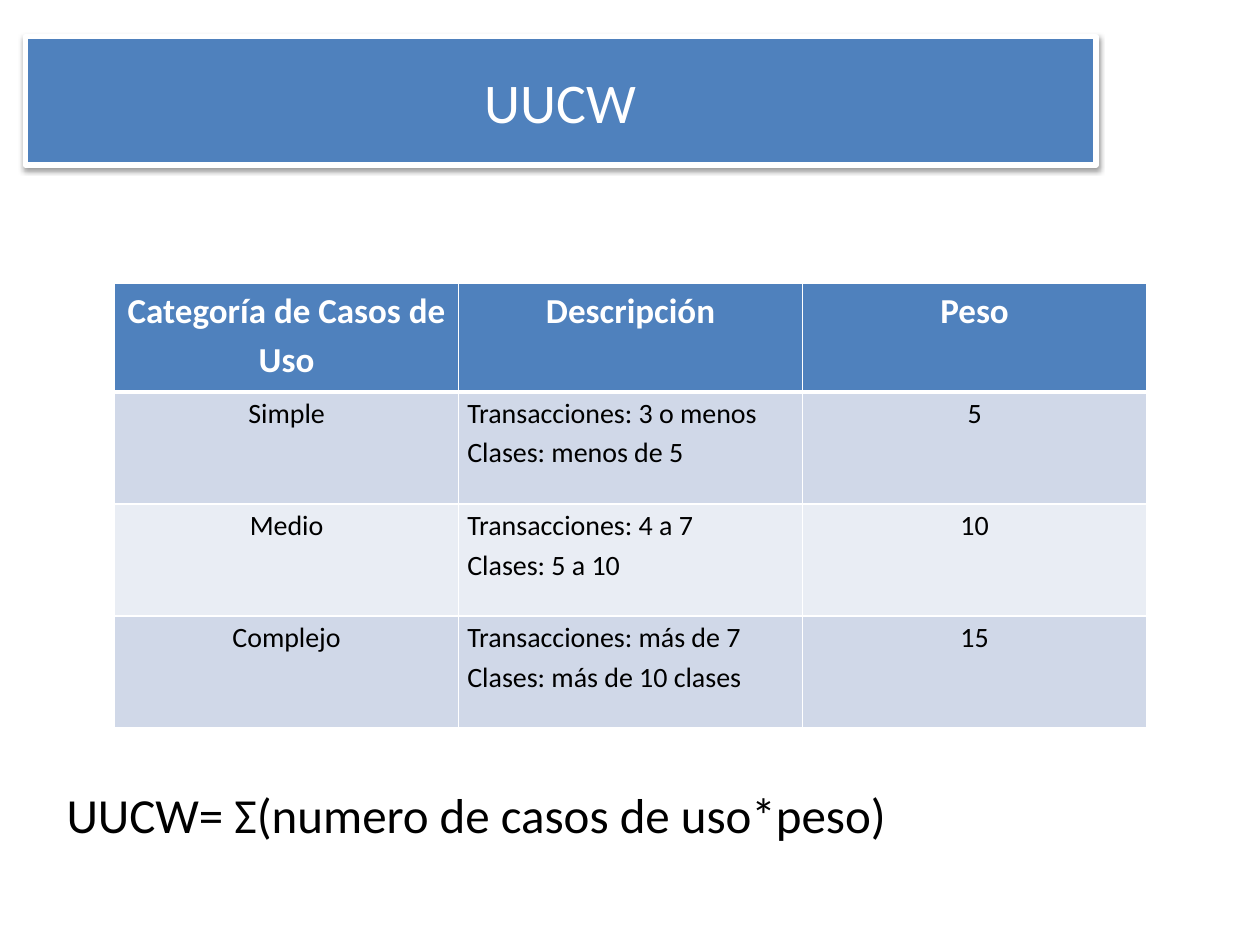
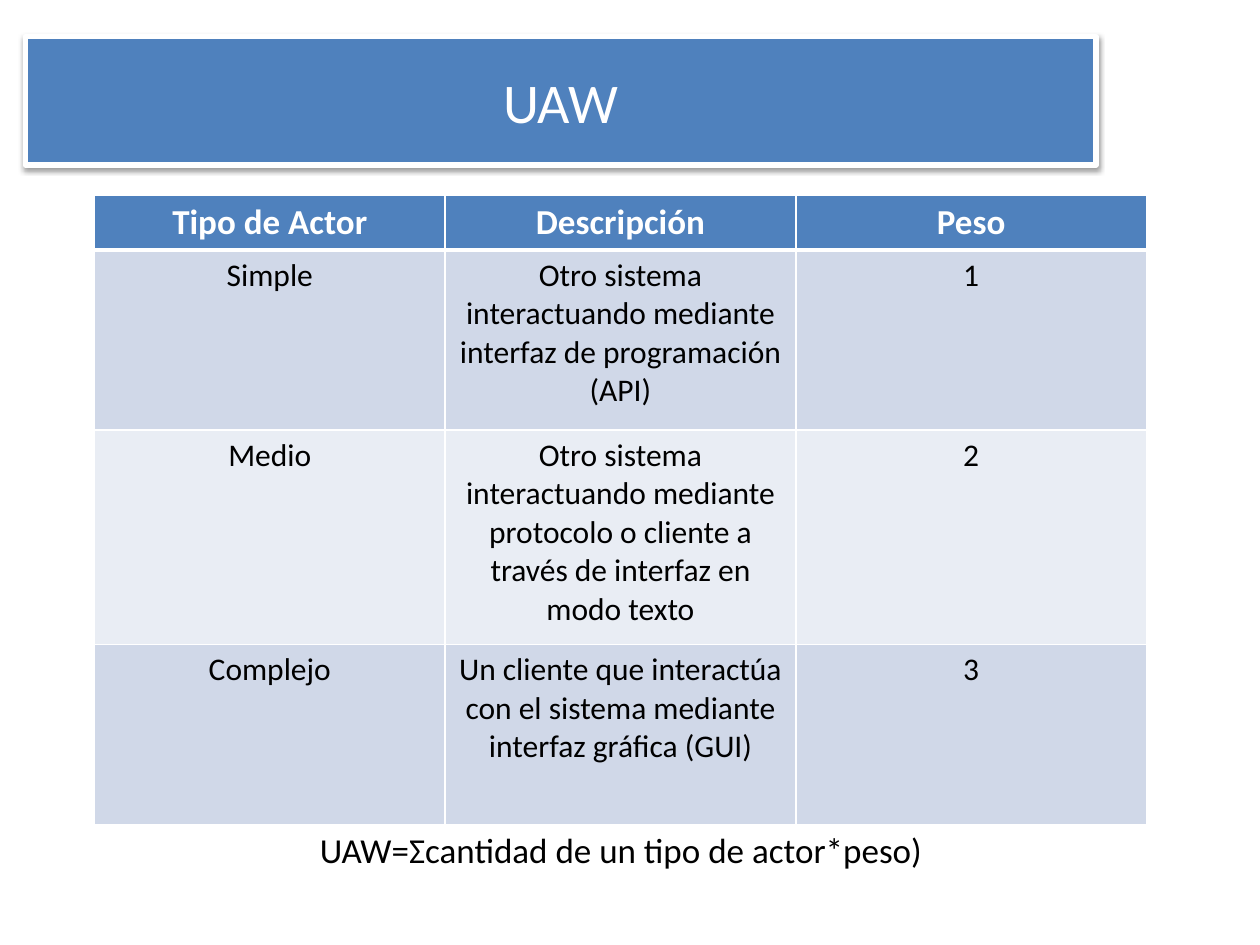
"""Build two slides on use case and actor weights, each with a table and a formula."""
from lxml import etree
from pptx import Presentation
from pptx import util as u
from pptx.dml.color import RGBColor
from pptx.enum import shapes, text
from pptx.oxml import ns, parse_xml

COLORS = {"blue": "4F81BD", "white": "FFFFFF", "black": "000000",
          "odd_row": "D0D8E8", "even_row": "E9EDF4"}
FONT = "Calibri"
CENTER, LEFT = text.PP_ALIGN.CENTER, text.PP_ALIGN.LEFT

SLIDES = [
    {
        "title": "UUCW",
        "rows": [
            ("Categoría de Casos de Uso", "Descripción", "Peso"),
            ("Simple", "Transacciones: 3 o menos\nClases: menos de 5", "5"),
            ("Medio", "Transacciones: 4 a 7\nClases: 5 a 10", "10"),
            ("Complejo", "Transacciones: más de 7\nClases: más de 10 clases", "15"),
        ],
        "table_left": 9.1, "table_top": 22.5, "table_width": 81.9,
        "row_heights": (8.6, 8.9, 8.9, 8.9),
        "margins": (0.7, 0), "spacing": 1.15, "body_size": 16, "description_align": LEFT,
        "formula": "UUCW= Σ(numero de casos de uso*peso)",
        "formula_top": 61, "formula_size": 28, "formula_align": LEFT,
    },
    {
        "title": "UAW",
        "rows": [
            ("Tipo de Actor", "Descripción", "Peso"),
            ("Simple", "Otro sistema interactuando mediante interfaz de programación (API)", "1"),
            ("Medio", "Otro sistema interactuando mediante protocolo o cliente a través "
                      "de interfaz en modo texto", "2"),
            ("Complejo", "Un cliente que interactúa con el sistema mediante interfaz "
                         "gráfica (GUI)", "3"),
        ],
        "table_left": 7.5, "table_top": 15.5, "table_width": 83.5,
        "row_heights": (4.3, 14.3, 17, 14.3),
        "margins": (1, 0.5), "spacing": 1, "body_size": 18, "description_align": CENTER,
        "formula": "UAW=Σcantidad de un tipo de actor*peso)",
        "formula_top": 63.8, "formula_size": 20, "formula_align": CENTER,
    },
]

presentation = Presentation()
presentation.slide_width, presentation.slide_height = u.Inches(10), u.Inches(7.5)
UNIT = presentation.slide_width // 100


def write_text(frame, content, size, color="black", align=CENTER, bold=False, spacing=1):
    """Fill a text frame, one paragraph for each line of the content."""
    frame.word_wrap = True
    frame.text = content
    for paragraph in frame.paragraphs:
        paragraph.alignment = align
        paragraph.line_spacing = spacing
        font = paragraph.font
        font.name, font.size, font.bold = FONT, u.Pt(size), bold
        font.color.rgb = RGBColor.from_string(COLORS[color])


def set_border(cell, side, width):
    """Draw one white border of a table cell."""
    line = etree.SubElement(cell._tc.get_or_add_tcPr(), ns.qn(f"a:ln{side}"), w=str(u.Pt(width)))
    fill = etree.SubElement(line, ns.qn("a:solidFill"))
    etree.SubElement(fill, ns.qn("a:srgbClr"), val=COLORS["white"])


for content in SLIDES:
    slide = presentation.slides.add_slide(presentation.slide_layouts[6])

    banner = slide.shapes.add_shape(
        shapes.MSO_SHAPE.RECTANGLE, *(int(n * UNIT) for n in (2, 2.9, 85, 10.2)))
    banner.fill.solid()
    banner.fill.fore_color.rgb = RGBColor.from_string(COLORS["blue"])
    banner.line.color.rgb = RGBColor.from_string(COLORS["white"])
    banner.line.width = u.Pt(3)
    banner._element.spPr.append(parse_xml(
        f'<a:effectLst {ns.nsdecls("a")}>'
        f'<a:outerShdw blurRad="{u.Pt(3.1)}" dist="{u.Pt(1.6)}" dir="5400000" rotWithShape="0">'
        f'<a:srgbClr val="{COLORS["black"]}"><a:alpha val="38000"/></a:srgbClr>'
        '</a:outerShdw></a:effectLst>'))
    banner.text_frame.vertical_anchor = text.MSO_ANCHOR.MIDDLE
    write_text(banner.text_frame, content["title"], 32, color="white")

    rows, heights = content["rows"], content["row_heights"]
    frame = (content["table_left"], content["table_top"], content["table_width"], sum(heights))
    table = slide.shapes.add_table(
        len(rows), len(rows[0]), *(int(n * UNIT) for n in frame)).table
    side_margin, end_margin = (int(n * UNIT) for n in content["margins"])

    for row_index, (row, height) in enumerate(zip(rows, heights)):
        table.rows[row_index].height = int(height * UNIT)
        header = row_index == 0
        fill_name = "blue" if header else ("even_row", "odd_row")[row_index % 2]
        for column_index, value in enumerate(row):
            cell = table.cell(row_index, column_index)
            cell.margin_left = cell.margin_right = side_margin
            cell.margin_top = cell.margin_bottom = end_margin
            for side in "LRTB":
                under_header = (row_index, side) in ((0, "B"), (1, "T"))
                set_border(cell, side, 3 if under_header else 1)
            cell.fill.solid()
            cell.fill.fore_color.rgb = RGBColor.from_string(COLORS[fill_name])
            is_description = column_index == 1 and not header
            write_text(cell.text_frame, value, 20 if header else content["body_size"],
                       color="white" if header else "black", bold=header,
                       align=content["description_align"] if is_description else CENTER,
                       spacing=content["spacing"])

    formula = slide.shapes.add_textbox(
        *(int(n * UNIT) for n in (4.3, content["formula_top"], 90, 7.2)))
    formula.text_frame.vertical_anchor = text.MSO_ANCHOR.MIDDLE
    write_text(formula.text_frame, content["formula"], content["formula_size"],
               align=content["formula_align"])

presentation.save("out.pptx")
